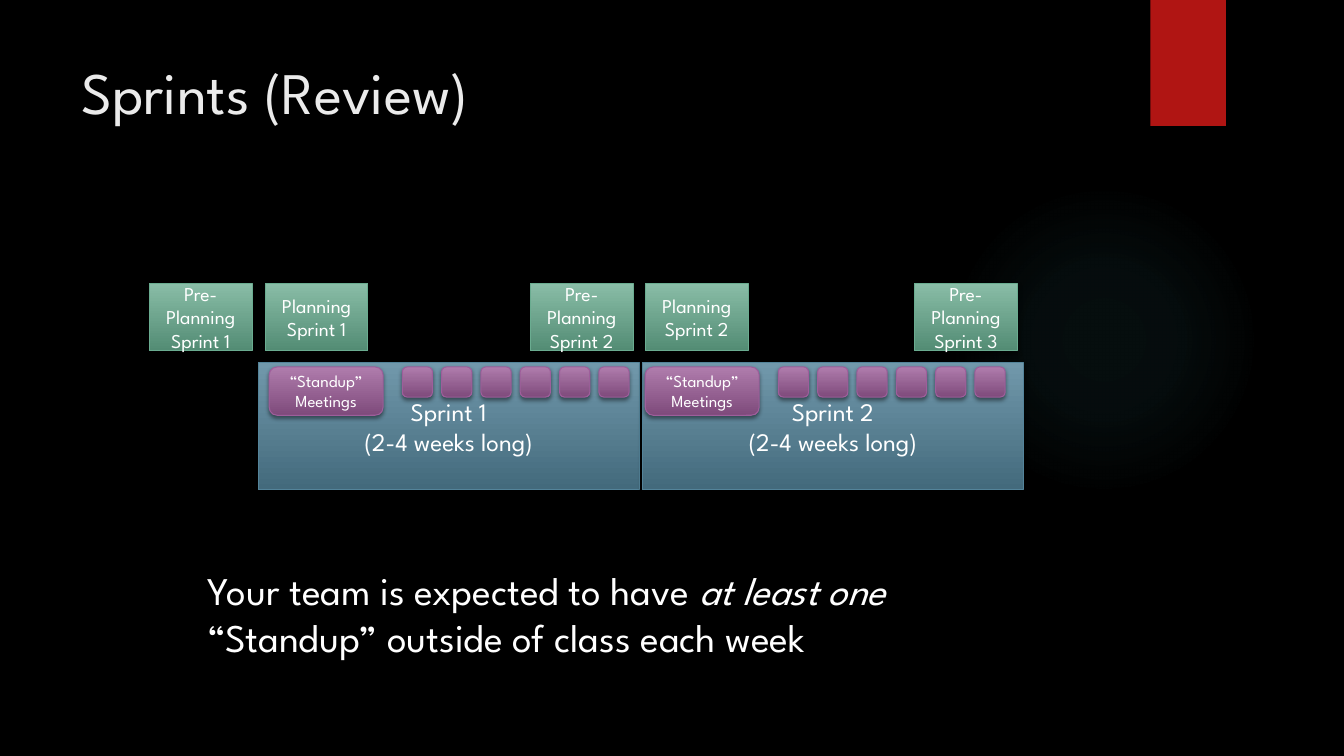
from dataclasses import dataclass

from lxml import etree
from pptx import Presentation
from pptx.dml.color import RGBColor
from pptx.enum import shapes, text
from pptx.oxml import parse_xml
from pptx.oxml.ns import nsdecls, qn
from pptx.util import Inches, Pt

FONT = "League Spartan"
COLORS = {
    "background": "000000", "title": "EBEBEB", "text": "FFFFFF",
    "ribbon": "B01513", "halo": "50B9C1", "shadow": "000000",
}
RECT = shapes.MSO_SHAPE.RECTANGLE
ROUNDED = shapes.MSO_SHAPE.ROUNDED_RECTANGLE


@dataclass(frozen=True)
class Style:
    shape: shapes.MSO_SHAPE
    top_color: str
    bottom_color: str
    line_color: str
    size: int


@dataclass(frozen=True)
class Block:
    label: str
    left: float
    top: float
    width: float
    height: float
    style: Style


SPRINT = Style(RECT, "7198AB", "436A7C", "54849A", 18)
PLANNING = Style(RECT, "89BDA7", "538C74", "6AAC90", 14)
STANDUP = Style(ROUNDED, "AF7CAC", "7F4B7C", "9E5E9B", 12)

PLANNING_BOXES = [
    ("Pre-Planning Sprint 1", 1.48), ("Pre-Planning Sprint 2", 5.26),
    ("Pre-Planning Sprint 3", 9.07),
    ("Planning Sprint 1", 2.63), ("Planning Sprint 2", 6.4),
]
SPRINT_LEFTS = [2.56, 6.37]
STANDUP_LEFTS = [2.67, 6.4]
MEETING_COUNT, MEETING_OFFSET, MEETING_PITCH = 6, 1.32, 0.39


def rgb(value: str) -> RGBColor:
    return RGBColor.from_string(value)


def format_run(r, size: float, color: str) -> None:
    r.font.name = FONT
    r.font.size = Pt(size)
    r.font.color.rgb = rgb(color)


def add_shadow(sp) -> None:
    """Give the shape a soft shadow straight below it."""
    sp.shadow.inherit = False
    effects = sp._element.spPr.find(qn("a:effectLst"))
    outer = etree.SubElement(effects, qn("a:outerShdw"), blurRad=str(Pt(3)),
                             dist=str(Pt(2)), dir="5400000", rotWithShape="0")
    color = etree.SubElement(outer, qn("a:srgbClr"), val=COLORS["shadow"])
    etree.SubElement(color, qn("a:alpha"), val="45000")


def add_block(s, block: Block) -> None:
    style = block.style
    sp = s.shapes.add_shape(style.shape, Inches(block.left), Inches(block.top),
                            Inches(block.width), Inches(block.height))
    sp.fill.gradient()
    sp.fill.gradient_angle = 270
    for stop, color in zip(sp.fill.gradient_stops, (style.top_color, style.bottom_color)):
        stop.color.rgb = rgb(color)
    sp.line.color.rgb = rgb(style.line_color)
    sp.line.width = Pt(0.75)
    add_shadow(sp)
    if not block.label:
        return
    tf = sp.text_frame
    tf.word_wrap = True
    tf.vertical_anchor = text.MSO_ANCHOR.MIDDLE
    tf.text = block.label
    p = tf.paragraphs[0]
    p.alignment = text.PP_ALIGN.CENTER
    for r in p.runs:
        format_run(r, style.size, COLORS["text"])


def add_halo(s) -> None:
    """Add the faint glow that fades out from its centre."""
    sp = s.shapes.add_shape(shapes.MSO_SHAPE.OVAL, Inches(9.41), Inches(1.83),
                            Inches(3.08), Inches(3.08))
    sp.line.fill.background()
    sp.shadow.inherit = False
    stops = "".join(
        f'<a:gs pos="{pos * 1000}"><a:srgbClr val="{COLORS["halo"]}">'
        f'<a:alpha val="{alpha * 1000}"/></a:srgbClr></a:gs>'
        for pos, alpha in ((0, 7), (36, 6), (69, 0)))
    gradient = parse_xml(
        f'<a:gradFill {nsdecls("a")}><a:gsLst>{stops}</a:gsLst><a:path path="circle">'
        '<a:fillToRect l="50000" t="50000" r="50000" b="50000"/></a:path></a:gradFill>')
    sp._element.spPr.find(qn("a:prstGeom")).addnext(gradient)


def add_ribbon(s) -> None:
    sp = s.shapes.add_shape(RECT, Inches(11.41), 0, Inches(0.75), Inches(1.25))
    sp.fill.solid()
    sp.fill.fore_color.rgb = rgb(COLORS["ribbon"])
    sp.line.fill.background()
    add_shadow(sp)


def add_text(s, box: tuple[float, float, float, float],
             parts: list[tuple[str, bool]], size: float, color: str) -> None:
    """Add a text box from (wording, italic) parts."""
    tf = s.shapes.add_textbox(*map(Inches, box)).text_frame
    tf.word_wrap = True
    p = tf.paragraphs[0]
    for wording, italic in parts:
        r = p.add_run()
        r.text = wording
        format_run(r, size, color)
        r.font.italic = italic


def timeline_blocks() -> list[Block]:
    blocks = [Block(f"Sprint {number}\v(2-4 weeks long)", left, 3.6, 3.78, 1.26, SPRINT)
              for number, left in enumerate(SPRINT_LEFTS, 1)]
    blocks += [Block(label, left, 2.81, 1.02, 0.67, PLANNING)
               for label, left in PLANNING_BOXES]
    for left in STANDUP_LEFTS:
        blocks.append(Block("“Standup” Meetings", left, 3.64, 1.13, 0.48, STANDUP))
        blocks += [Block("", left + MEETING_OFFSET + i * MEETING_PITCH, 3.64, 0.3, 0.3, STANDUP)
                   for i in range(MEETING_COUNT)]
    return blocks


def main() -> None:
    prs = Presentation()
    prs.slide_width, prs.slide_height = Inches(13.33), Inches(7.5)
    s = prs.slides.add_slide(prs.slide_layouts[6])
    s.background.fill.solid()
    s.background.fill.fore_color.rgb = rgb(COLORS["background"])

    add_halo(s)
    add_ribbon(s)
    add_text(s, (0.71, 0.5, 10.29, 1.53), [("Sprints (Review)", False)], 42, COLORS["title"])
    for block in timeline_blocks():
        add_block(s, block)
    add_text(s, (1.96, 5.57, 8.46, 0.91),
             [("Your team is expected to have ", False), ("at least one ", True),
              ("“Standup” outside of class each week", False)], 28, COLORS["text"])
    prs.save("out.pptx")


if __name__ == "__main__":
    main()
